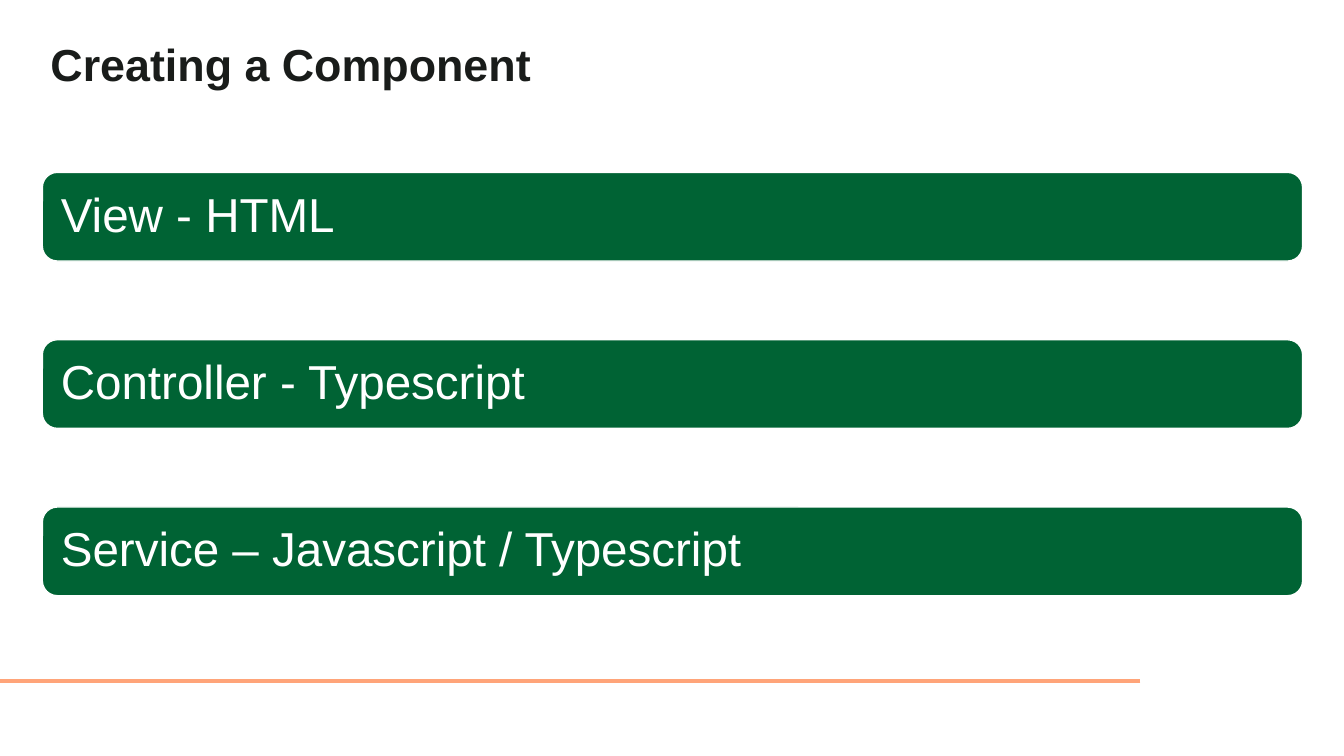
import pptx
import pptx.dml.color
import pptx.enum.shapes
import pptx.enum.text
import pptx.util
from pptx.util import Inches

LAYERS = ["View - HTML", "Controller - Typescript", "Service – Javascript / Typescript"]


def color(hex_string):
    return pptx.dml.color.RGBColor.from_string(hex_string)


def write_text(shape, text, size, hex_string, line_spacing, insets, bold=False):
    frame = shape.text_frame
    frame.word_wrap = True
    frame.vertical_anchor = pptx.enum.text.MSO_ANCHOR.MIDDLE
    frame.margin_left, frame.margin_top, frame.margin_right, frame.margin_bottom = map(Inches, insets)
    frame.text = text
    para = frame.paragraphs[0]
    para.alignment = pptx.enum.text.PP_ALIGN.LEFT
    para.line_spacing = line_spacing
    font = para.runs[0].font
    font.name = "Arial"
    font.size = pptx.util.Pt(size)
    font.bold = bold
    font.color.rgb = color(hex_string)


def add_title(page, left, top, width, height):
    box = page.shapes.add_textbox(Inches(left), Inches(top), Inches(width), Inches(height))
    write_text(box, "Creating a Component", 32, "191C1A", 0.85, (0.5, 0.1, 0.1, 0), bold=True)


def add_layers(page, left, top, width, height):
    bar_height = 0.88
    pitch = (height - bar_height) / (len(LAYERS) - 1)
    for index, layer in enumerate(LAYERS):
        bar = page.shapes.add_shape(
            pptx.enum.shapes.MSO_SHAPE.ROUNDED_RECTANGLE,
            Inches(left), Inches(top + index * pitch), Inches(width), Inches(bar_height))
        bar.shadow.inherit = False
        bar.adjustments[0] = 0.17
        bar.fill.solid()
        bar.fill.fore_color.rgb = color("006334")
        bar.line.color.rgb = color("FFFFFF")
        bar.line.width = pptx.util.Pt(1)
        write_text(bar, layer, 34, "FFFFFF", 0.9, (0.14,) * 4)


def add_footer_rule(page, left, top, width):
    rule = page.shapes.add_connector(
        pptx.enum.shapes.MSO_CONNECTOR.STRAIGHT,
        Inches(left + width), Inches(top), Inches(left), Inches(top))
    rule.line.color.rgb = color("FFA479")
    rule.line.width = pptx.util.Pt(3)
    properties = rule._element.spPr
    properties.append(pptx.oxml.parse_xml(
        '<a:effectLst xmlns:a="http://schemas.openxmlformats.org/drawingml/2006/main"/>'))


def main():
    deck = pptx.Presentation()
    deck.slide_width = Inches(13.33)
    deck.slide_height = Inches(7.5)
    page = deck.slides.add_slide(deck.slide_layouts[6])
    add_footer_rule(page, 0, 6.76, 11.31)
    add_layers(page, 0.42, 1.71, 12.5, 4.2)
    add_title(page, 0, 0, 12.91, 1.25)
    deck.save("out.pptx")


if __name__ == "__main__":
    main()
